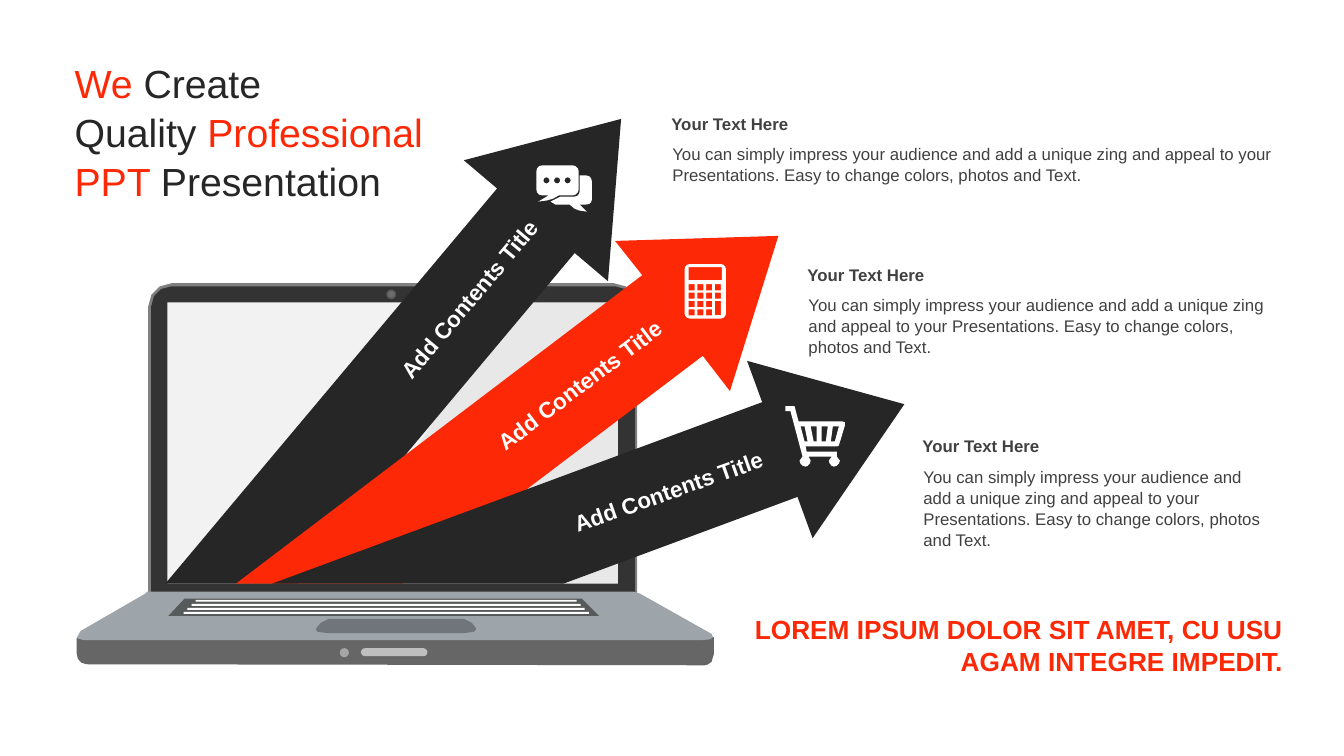
"""Build a slide with three arrows bursting out of a laptop screen."""
from lxml import etree
from pptx import Presentation
from pptx.dml.color import RGBColor
from pptx.enum.shapes import MSO_SHAPE
from pptx.enum.text import MSO_ANCHOR, MSO_AUTO_SIZE, PP_ALIGN
from pptx.oxml.ns import qn
from pptx.util import Inches, Pt

RECT, OVAL, PILL = MSO_SHAPE.RECTANGLE, MSO_SHAPE.OVAL, MSO_SHAPE.ROUNDED_RECTANGLE
LEFT, RIGHT = PP_ALIGN.LEFT, PP_ALIGN.RIGHT
TOP, MID = MSO_ANCHOR.TOP, MSO_ANCHOR.MIDDLE
COLS, ROWS = 13.33, 7.5
CELL = Inches(1)
RED, DARK, WHITE, GREY = "FD2906", "262626", "FFFFFF", "404040"

TITLE = [
    [("We ", RED), ("Create", DARK)],
    [("Quality ", DARK), ("Professional", RED)],
    [("PPT ", RED), ("Presentation", DARK)],
]
HEAD = "Your Text Here"
BODY = ("You can simply impress your audience and add a unique zing and appeal "
        "to your Presentations. Easy to change colors, photos and Text.")
NOTES = [(6.57, 1.37, 6.17, 0.5), (7.92, 2.87, 4.83, 0.71), (9.06, 4.57, 3.68, 0.91)]
CLOSE = "LOREM IPSUM DOLOR SIT AMET, CU USU AGAM INTEGRE IMPEDIT."
LABEL = "Add Contents Title"
LABELS = [(5.08, 4.76, 340.5), (4.23, 3.77, 322.9), (3.17, 2.96, 310)]

ARROWS = [
    (DARK, [(6.16, 1.18), (6.03, 2.79), (5.7, 2.51), (2.95, 5.79), (1.64, 5.79),
            (4.93, 1.87), (4.6, 1.59)]),
    (RED, [(7.72, 2.34), (7.24, 3.88), (6.97, 3.53), (3.99, 5.79), (2.34, 5.79),
           (6.37, 2.73), (6.1, 2.39)]),
    (DARK, [(7.41, 3.58), (8.97, 4.01), (8.06, 5.34), (7.91, 4.93), (5.59, 5.79),
            (2.7, 5.79), (7.56, 3.99)]),
]
SHADE = [(5.06, 3), (6.13, 3), (6.13, 5.79), (3.27, 5.79)]
BASE = [(7.08, 6.32), (7.08, 6.49), (7.08, 6.6, 6.99, 6.6, 6.99, 6.6), (0.86, 6.59),
        (0.8, 6.59, 0.76, 6.54, 0.76, 6.48), (0.76, 6.33)]
DECK = [(6.96, 6.35), (0.83, 6.35), (0.76, 6.33), (0.8, 6.26), (1.44, 5.89),
        (1.46, 5.87), (6.29, 5.87), (6.35, 5.89), (7.06, 6.29),
        (7.09, 6.33, 7.07, 6.35, 6.96, 6.35)]
PAD = [(3.26, 6.14), (3.18, 6.18), (3.14, 6.23), (3.14, 6.23, 3.09, 6.28, 3.24, 6.28),
       (4.61, 6.28), (4.75, 6.28, 4.72, 6.23, 4.72, 6.23), (4.68, 6.18), (4.6, 6.14)]
KEYS = [(5.94, 6.11), (1.67, 6.11), (1.83, 5.94), (5.77, 5.94)]
FRONT = [(5.38, 1.64), (5.68, 1.64), (5.71, 1.64, 5.74, 1.67, 5.74, 1.7), (5.74, 1.88),
         (5.74, 1.91, 5.71, 1.94, 5.68, 1.94), (5.54, 1.94),
         (5.48, 1.98, 5.45, 1.99, 5.34, 2), (5.44, 1.94), (5.38, 1.94),
         (5.34, 1.94, 5.32, 1.91, 5.32, 1.88), (5.32, 1.7),
         (5.32, 1.67, 5.34, 1.64, 5.38, 1.64)]
BACK = [(5.75, 1.74), (5.81, 1.74), (5.85, 1.74, 5.87, 1.77, 5.87, 1.8), (5.87, 1.98),
        (5.87, 2.01, 5.85, 2.03, 5.81, 2.03), (5.75, 2.03), (5.82, 2.1),
        (5.72, 2.09, 5.7, 2.08, 5.65, 2.03), (5.51, 2.03), (5.46, 2), (5.56, 1.95),
        (5.7, 1.95), (5.73, 1.95, 5.75, 1.93, 5.75, 1.89)]
CART = [(7.88, 4.03), (7.92, 4.18), (8.35, 4.18), (8.38, 4.19), (8.38, 4.22),
        (8.32, 4.42), (8.3, 4.43), (7.99, 4.43), (8, 4.48), (8.3, 4.48), (8.3, 4.53),
        (8.33, 4.57), (8.33, 4.6, 8.3, 4.63, 8.27, 4.63),
        (8.25, 4.63, 8.22, 4.6, 8.22, 4.57), (8.25, 4.53), (8.02, 4.53), (8.04, 4.57),
        (8.04, 4.6, 8.01, 4.63, 7.99, 4.63), (7.96, 4.63, 7.93, 4.6, 7.93, 4.57),
        (7.96, 4.53), (7.84, 4.08), (7.79, 4.08), (7.79, 4.03)]
SLOTS = [
    [(8.26, 4.23), (8.24, 4.38), (8.28, 4.38), (8.32, 4.23)],
    [(8.15, 4.23), (8.15, 4.38), (8.19, 4.38), (8.21, 4.23)],
    [(8.04, 4.23), (8.07, 4.38), (8.1, 4.38), (8.1, 4.23)],
    [(7.94, 4.23), (7.98, 4.38), (8.01, 4.38), (7.98, 4.23)],
]

deck = Presentation()
deck.slide_width, deck.slide_height = Inches(COLS), Inches(ROWS)
slide = deck.slides.add_slide(deck.slide_layouts[5])
shapes = slide.shapes


def grid(*nums):
    return [round(n * CELL) for n in nums]


def paint(shape, tint, clear=None):
    shape.shadow.inherit = False
    shape.line.fill.background()
    shape.fill.solid()
    shape.fill.fore_color.rgb = RGBColor.from_string(tint)
    if clear:
        color = shape.fill._xPr.find(qn("a:solidFill"))[0]
        etree.SubElement(color, qn("a:alpha")).set("val", str(clear * 1000))
    return shape


def trace(knots, steps=3):
    out = []
    for knot in knots:
        if len(knot) == 2:
            out.append(knot)
            continue
        pts = [out[-1], knot[:2], knot[2:4], knot[4:]]
        for n in range(1, steps + 1):
            t = n / steps
            mix = ((1 - t) ** 3, 3 * t * (1 - t) ** 2, 3 * t * t * (1 - t), t ** 3)
            out.append(tuple(sum(m * p[i] for m, p in zip(mix, pts)) for i in (0, 1)))
    return [grid(*p) for p in out]


def draw(tint, *loops, clear=None):
    form = None
    for loop in loops:
        first, *rest = trace(loop)
        if form:
            form.move_to(*first)
        else:
            form = shapes.build_freeform(*first)
        form.add_line_segments(rest, close=True)
    return paint(form.convert_to_shape(), tint, clear)


def box(x, y, w, h, r=0, low=None):
    low = r if low is None else low
    k, m, e, f = r * 0.45, low * 0.45, x + w, y + h
    if not r:
        return [(x, y), (e, y), (e, f), (x, f)]
    return [(x + r, y), (e - r, y), (e - k, y, e, y + k, e, y + r), (e, f - low),
            (e, f - m, e - m, f, e - low, f), (x + low, f),
            (x + m, f, x, f - m, x, f - low), (x, y + r),
            (x, y + k, x + k, y, x + r, y)]


def add(kind, tint, *place, clear=None):
    return paint(shapes.add_shape(kind, *grid(*place)), tint, clear)


def write(text, place, size=12, tint=GREY, bold=False, align=LEFT, anchor=TOP,
          turn=0, pads=(0.1, 0.05), shape=None):
    shape = shape or shapes.add_textbox(*grid(*place))
    shape.left, shape.top, shape.width, shape.height = grid(*place)
    shape.rotation = turn
    frame = shape.text_frame
    frame.word_wrap, frame.auto_size = True, MSO_AUTO_SIZE.NONE
    frame.vertical_anchor = anchor
    frame.margin_left = frame.margin_right = Inches(pads[0])
    frame.margin_top = frame.margin_bottom = Inches(pads[1])
    lines = [[(text, tint)]] if isinstance(text, str) else text
    for n, line in enumerate(lines):
        para = frame.add_paragraph() if n else frame.paragraphs[0]
        para.alignment, para.line_spacing = align, 1.04
        for words, hue in line:
            run = para.add_run()
            run.text = words
            run.font.name, run.font.size, run.font.bold = "Arial", Pt(size), bold
            run.font.color.rgb = RGBColor.from_string(hue)


draw("808080", box(1.47, 2.81, 4.85, 3.11, 0.23, 0.05))
draw("333333", box(1.5, 2.84, 4.8, 3.08, 0.2, 0.05))
add(RECT, "F2F2F2", 1.66, 3, 4.47, 2.79)
draw("666666", BASE)
draw("9DA4AA", DECK)
draw("70757B", PAD)
draw("575A5A", KEYS)
draw("999999", SHADE, clear=10)
for n in range(4):
    add(RECT, WHITE, 1.82 + 0.04 * n, 6.07 - 0.04 * n, 4.02 - 0.08 * n, 0.02)
for d in (0.1, 0.08, 0.05):
    add(OVAL, "808080", 3.88 - d / 2, 2.92 - d / 2, d, d, clear=40)
add(PILL, "BFBFBF", 3.58, 6.43, 0.66, 0.08).adjustments[0] = 0.5
add(OVAL, "A6A6A6", 3.37, 6.43, 0.09, 0.09)
for tint, knots in ARROWS:
    draw(tint, knots)

write(TITLE, (0.7, 0.59, 4.1, 1.41), size=28, anchor=MID, pads=(0.04, 0), shape=shapes.title)
for x, y, w, h in NOTES:
    write(BODY, (x, y, w, h))
    write(HEAD, (x - 0.01, y - 0.3, w + 0.01, 0.3), bold=True)
write(CLOSE, (7.06, 6.03, 5.76, 0.73), size=18.7, tint=RED, bold=True, align=RIGHT, anchor=MID)

tall = (3, 2)
keys = [box(6.83 + 0.087 * c, 2.82 + 0.083 * r, 0.06, 0.14 if (c, r) == tall else 0.06)
        for c in range(4) for r in range(4) if (c, r) != (3, 3)]
draw(WHITE, box(6.79, 2.62, 0.41, 0.54, 0.05), box(6.83, 2.65, 0.33, 0.13), *keys)
dots = [box(5.39 + 0.105 * n, 1.76, 0.06, 0.06, 0.03) for n in range(3)]
draw(WHITE, FRONT, BACK, *dots)
draw(WHITE, CART, *SLOTS)
for x, y, turn in LABELS:
    write(LABEL, (x, y, 2.64, 0.37), size=16, tint=WHITE, bold=True, align=RIGHT, turn=turn)

deck.save("out.pptx")
